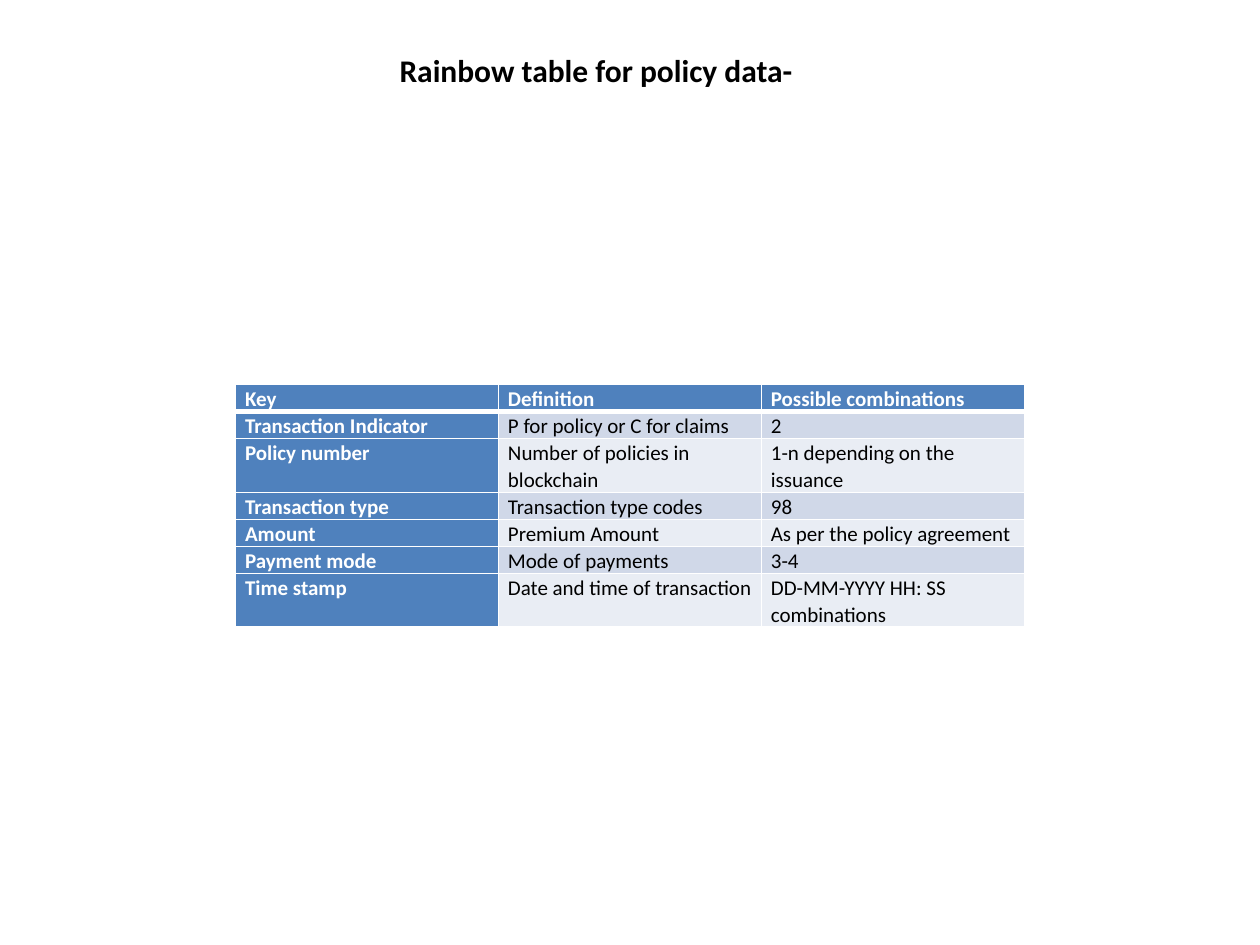
from dataclasses import dataclass

from lxml import etree
from pptx import Presentation
from pptx.dml.color import RGBColor
from pptx.enum import text
from pptx.oxml import ns
from pptx.util import Cm, Pt


@dataclass(frozen=True)
class Theme:
    font: str = "Calibri"
    title_size: int = 18
    cell_size: int = 12
    dark: str = "000000"
    light: str = "FFFFFF"
    accent: str = "4F81BD"
    bands: tuple[str, str] = ("D0D8E8", "E9EDF4")
    rule: float = 1
    header_rule: float = 3


@dataclass(frozen=True)
class Entry:
    key: str
    definition: str
    combinations: str
    lines: int = 1


THEME = Theme()
LINE_HEIGHT = 0.54
COLUMN_WIDTH = 5.3

ENTRIES = [
    Entry("Key", "Definition", "Possible combinations"),
    Entry("Transaction Indicator", "P for policy or C for claims", "2"),
    Entry("Policy number", "Number of policies in blockchain",
          "1-n depending on the issuance", lines=2),
    Entry("Transaction type", "Transaction type codes", "98"),
    Entry("Amount", "Premium Amount", "As per the policy agreement "),
    Entry("Payment mode", "Mode of payments", "3-4"),
    Entry("Time stamp", "Date and time of transaction",
          "DD-MM-YYYY HH: SS combinations", lines=2),
]


def write(tf, content: str, *, size: float, color: str, bold: bool = False,
          spacing: float = 1.0) -> None:
    p = tf.paragraphs[0]
    p.alignment = text.PP_ALIGN.LEFT
    p.line_spacing = spacing
    r = p.add_run()
    r.text = content
    r.font.name = THEME.font
    r.font.size = Pt(size)
    r.font.bold = bold
    r.font.color.rgb = RGBColor.from_string(color)


def set_borders(cell, *, top: float, bottom: float) -> None:
    widths = {"lnL": THEME.rule, "lnR": THEME.rule, "lnT": top, "lnB": bottom}
    tc_pr = cell._tc.get_or_add_tcPr()
    for i, (side, width) in enumerate(widths.items()):
        ln = etree.Element(ns.qn(f"a:{side}"), w=str(Pt(width)))
        fill = etree.SubElement(ln, ns.qn("a:solidFill"))
        etree.SubElement(fill, ns.qn("a:srgbClr"), val=THEME.light)
        tc_pr.insert(i, ln)


def fill_cell(cell, content: str, row: int, column: int) -> None:
    heading = row == 0 or column == 0
    cell.margin_left = cell.margin_right = Cm(0.19)
    cell.margin_top = cell.margin_bottom = 0
    cell.fill.solid()
    cell.fill.fore_color.rgb = RGBColor.from_string(
        THEME.accent if heading else THEME.bands[(row - 1) % 2])
    set_borders(cell,
                top=THEME.header_rule if row == 1 else THEME.rule,
                bottom=THEME.header_rule if row == 0 else THEME.rule)
    write(cell.text_frame, content, size=THEME.cell_size, bold=heading,
          color=THEME.light if heading else THEME.dark, spacing=1.07)


def add_title(s, content: str) -> None:
    sp = s.shapes.title
    sp.left, sp.top, sp.width, sp.height = Cm(7.8), Cm(0.91), Cm(8.51), Cm(1.02)
    tf = sp.text_frame
    tf.word_wrap = False
    tf.auto_size = text.MSO_AUTO_SIZE.SHAPE_TO_FIT_TEXT
    tf.vertical_anchor = text.MSO_ANCHOR.TOP
    write(tf, content, size=THEME.title_size, color=THEME.dark, bold=True)


def add_entries(s, entries: list[Entry]) -> None:
    height = LINE_HEIGHT * sum(entry.lines for entry in entries)
    table = s.shapes.add_table(len(entries), 3, Cm(4.75), Cm(7.75),
                               Cm(3 * COLUMN_WIDTH), Cm(height)).table
    for column in table.columns:
        column.width = Cm(COLUMN_WIDTH)
    for i, entry in enumerate(entries):
        table.rows[i].height = Cm(LINE_HEIGHT * entry.lines)
        for j, content in enumerate((entry.key, entry.definition, entry.combinations)):
            fill_cell(table.cell(i, j), content, i, j)


# Slide
prs = Presentation()
prs.slide_width, prs.slide_height = Cm(25.4), Cm(19.05)
s = prs.slides.add_slide(prs.slide_layouts.get_by_name("Title Only"))

# Content
add_title(s, "Rainbow table for policy data-")
add_entries(s, ENTRIES)

prs.save("out.pptx")
